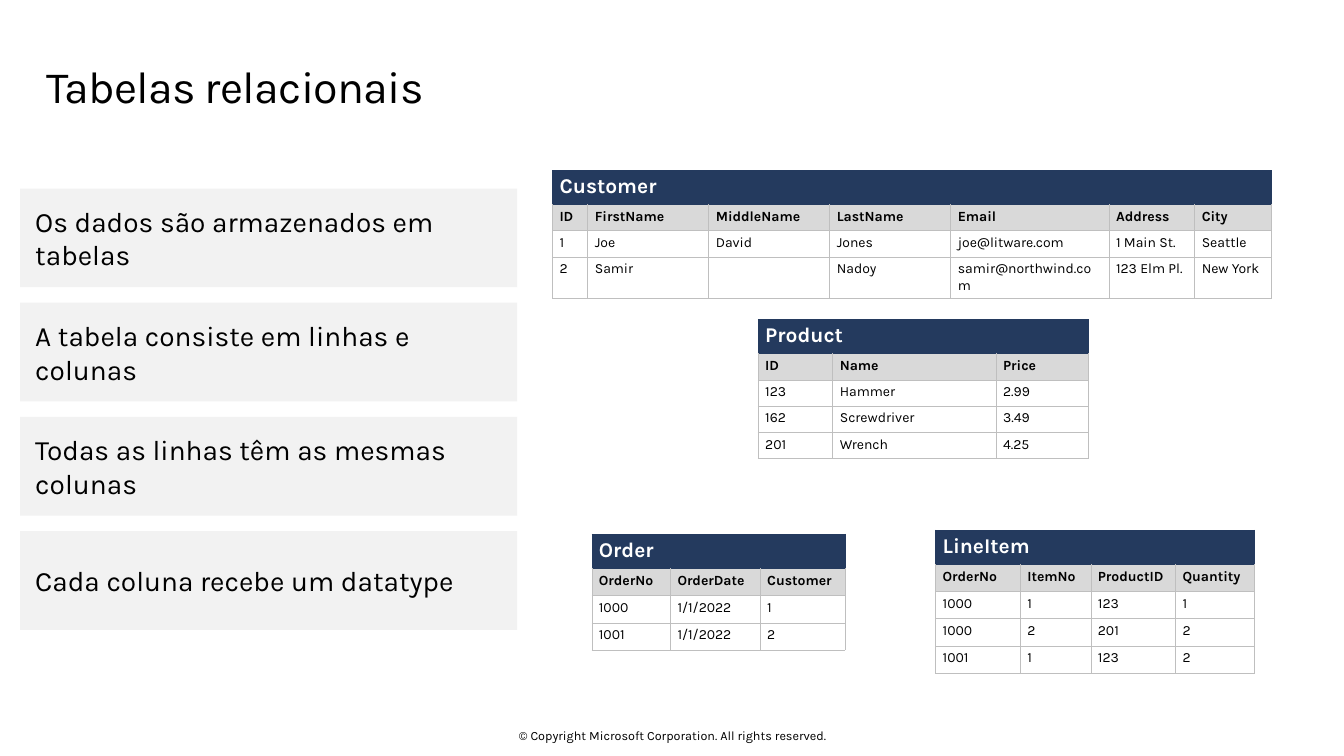
from pptx import Presentation
from pptx.dml.color import RGBColor
from pptx.enum.shapes import MSO_SHAPE
from pptx.enum.text import MSO_ANCHOR, PP_ALIGN
from pptx.oxml.ns import qn
from pptx.util import Inches, Pt
from lxml import etree

RECTANGLE = MSO_SHAPE.RECTANGLE
TOP, MIDDLE = MSO_ANCHOR.TOP, MSO_ANCHOR.MIDDLE
LEFT, CENTER = PP_ALIGN.LEFT, PP_ALIGN.CENTER

BLACK = RGBColor(0x00, 0x00, 0x00)
WHITE = RGBColor(0xFF, 0xFF, 0xFF)
NAVY = RGBColor(0x24, 0x3A, 0x5E)
LIGHT_GRAY = RGBColor(0xF2, 0xF2, 0xF2)
HEADER_GRAY = RGBColor(0xD9, 0xD9, 0xD9)
BORDER_GRAY = RGBColor(0xBF, 0xBF, 0xBF)


def write_text(frame, text, size, color=BLACK, bold=False, align=LEFT):
    para = frame.paragraphs[0]
    para.alignment = align
    span = para.add_run()
    span.text = text
    span.font.color.rgb = color
    for name, value in {"name": "Karla", "size": Pt(size), "bold": bold}.items():
        setattr(span.font, name, value)
    return span


def format_cell(cell, fill, border, top_border):
    margins = {"margin_left": 0.07, "margin_right": 0.07, "margin_top": 0.04, "margin_bottom": 0.04}
    for name, value in margins.items():
        setattr(cell, name, Inches(value))
    properties = cell._tc.get_or_add_tcPr()
    for side, color in {"L": border, "R": border, "T": top_border, "B": border}.items():
        line = etree.SubElement(properties, qn("a:ln" + side), w=str(Pt(0.5)))
        solid = etree.SubElement(line, qn("a:solidFill"))
        etree.SubElement(solid, qn("a:srgbClr"), val=str(color))
    cell.fill.solid()
    cell.fill.fore_color.rgb = fill


deck = Presentation()
deck.slide_width = Inches(13.33)
deck.slide_height = Inches(7.5)
page = deck.slides.add_slide(deck.slide_layouts[6])

labels = [
    ("© Copyright Microsoft Corporation. All rights reserved.",
     (4.42, 7.22, 4.5, 0.15), (0, 0, 0, 0), 9, MIDDLE, CENTER, 0),
    ("Tabelas relacionais",
     (0.46, 0.48, 12.4, 0.74), (0, 0.1, 0.16, 0.1), 32, TOP, LEFT, -50),
]
for text, place, insets, size, anchor, align, spacing in labels:
    box = page.shapes.add_textbox(*map(Inches, place))
    frame = box.text_frame
    frame.word_wrap = True
    frame.vertical_anchor = anchor
    for side, inset in zip(("left", "top", "right", "bottom"), insets):
        setattr(frame, "margin_" + side, Inches(inset))
    span = write_text(frame, text, size, align=align)
    if spacing:
        span.font._element.set("spc", str(spacing))

statements = [
    "Os dados são armazenados em tabelas",
    "A tabela consiste em linhas e colunas",
    "Todas as linhas têm as mesmas colunas",
    "Cada coluna recebe um datatype",
]
first_top, last_top = 1.87, 5.27
pitch = (last_top - first_top) / (len(statements) - 1)
for index, statement in enumerate(statements):
    box = page.shapes.add_shape(
        RECTANGLE, Inches(0.2), Inches(first_top + index * pitch), Inches(4.93), Inches(0.98))
    box.shadow.inherit = False
    box.fill.solid()
    box.fill.fore_color.rgb = LIGHT_GRAY
    box.line.fill.background()
    frame = box.text_frame
    frame_format = {
        "word_wrap": True, "vertical_anchor": MIDDLE,
        "margin_left": Inches(0.15), "margin_right": Inches(0.15),
        "margin_top": Inches(0.1), "margin_bottom": Inches(0.1),
    }
    for name, value in frame_format.items():
        setattr(frame, name, value)
    write_text(frame, statement, 20)

tables = [
    ("Customer", 5.48, 1.69, 0.26, [0.35, 1.2, 1.2, 1.2, 1.57, 0.85, 0.76], [
        ["ID", "FirstName", "MiddleName", "LastName", "Email", "Address", "City"],
        ["1", "Joe", "David", "Jones", "joe@litware.com", "1 Main St.", "Seattle"],
        ["2", "Samir", "", "Nadoy", "samir@northwind.com", "123 Elm Pl.", "New York"],
    ]),
    ("Product", 7.52, 3.17, 0.26, [0.74, 1.62, 0.91], [
        ["ID", "Name", "Price"],
        ["123", "Hammer", "2.99"],
        ["162", "Screwdriver", "3.49"],
        ["201", "Wrench", "4.25"],
    ]),
    ("Order", 5.87, 5.3, 0.27, [0.78, 0.89, 0.84], [
        ["OrderNo", "OrderDate", "Customer"],
        ["1000", "1/1/2022", "1"],
        ["1001", "1/1/2022", "2"],
    ]),
    ("LineItem", 9.28, 5.26, 0.27, [0.84, 0.7, 0.84, 0.78], [
        ["OrderNo", "ItemNo", "ProductID", "Quantity"],
        ["1000", "1", "123", "1"],
        ["1000", "2", "201", "2"],
        ["1001", "1", "123", "2"],
    ]),
]
title_height = 0.34
for title, left, top, row_height, widths, records in tables:
    height = title_height + row_height * len(records)
    table = page.shapes.add_table(
        len(records) + 1, len(widths), Inches(left), Inches(top),
        Inches(sum(widths)), Inches(height)).table
    table.first_row = False
    table.horz_banding = False
    for column, width in zip(table.columns, widths):
        column.width = Inches(width)
    for row in table.rows:
        row.height = Inches(row_height)
    table.rows[0].height = Inches(title_height)

    for column_index in range(len(widths)):
        format_cell(table.cell(0, column_index), NAVY, NAVY, NAVY)
    title_cell = table.cell(0, 0)
    title_cell.merge(table.cell(0, len(widths) - 1))
    write_text(title_cell.text_frame, title, 15, WHITE, bold=True)

    for row_index, record in enumerate(records, start=1):
        is_header = row_index == 1
        fill = HEADER_GRAY if is_header else WHITE
        top_border = NAVY if is_header else BORDER_GRAY
        for column_index, value in enumerate(record):
            cell = table.cell(row_index, column_index)
            format_cell(cell, fill, BORDER_GRAY, top_border)
            write_text(cell.text_frame, value, 10, bold=is_header)

deck.save("out.pptx")
